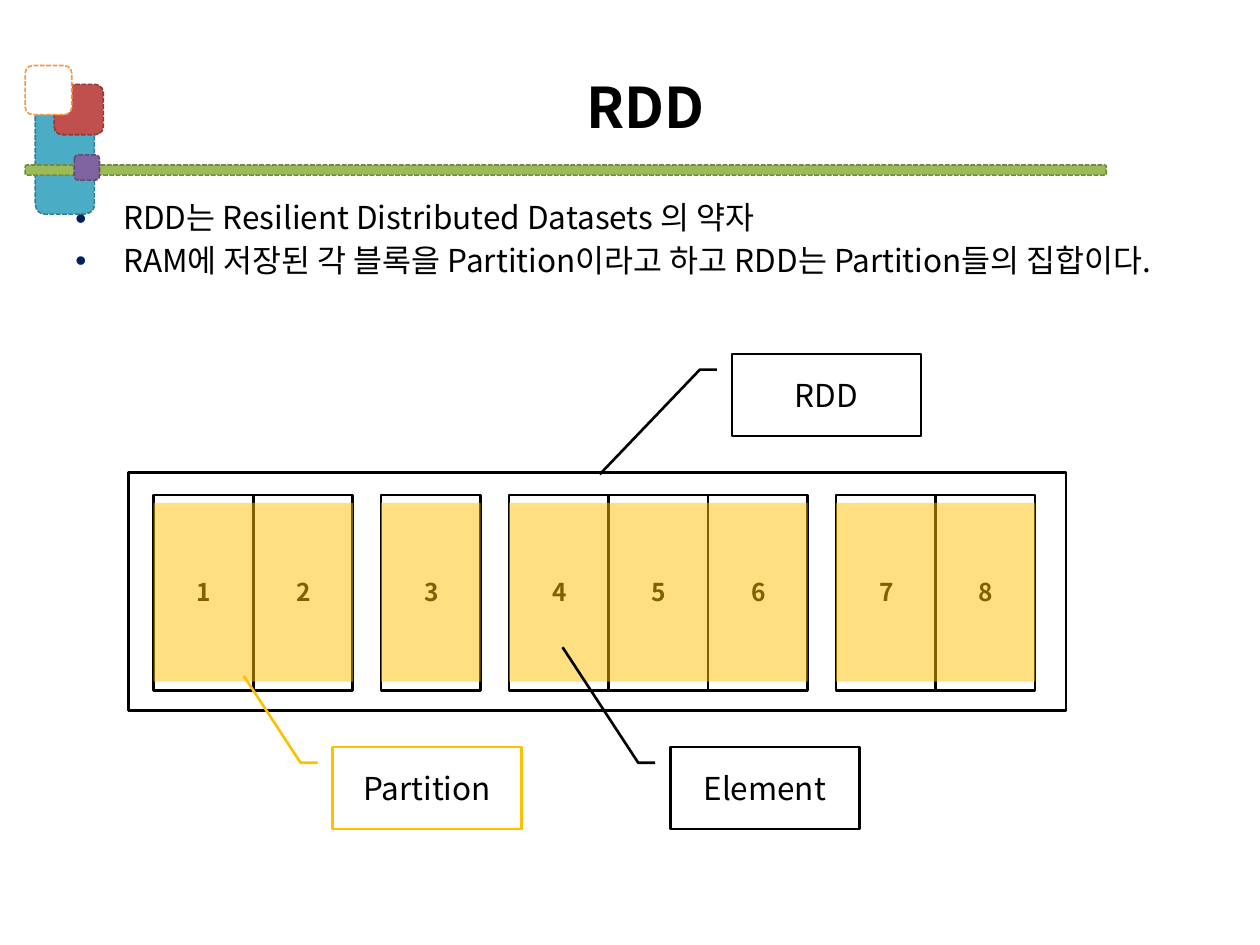
from dataclasses import dataclass
from typing import Optional

from lxml.etree import SubElement
from pptx import Presentation
from pptx.dml.color import RGBColor
from pptx.enum.dml import MSO_LINE
from pptx.enum.shapes import MSO_SHAPE as SHAPE
from pptx.enum.text import MSO_ANCHOR as ANCHOR, MSO_AUTO_SIZE, PP_ALIGN as ALIGN
from pptx.oxml.ns import qn
from pptx.util import Inches, Pt

FONT = "Noto Sans CJK KR"
BLACK, GOLD = "000000", "FFC000"
CELL_W, GAP = 0.79, 0.225
LEFT, TOP = 1.22, 3.93


@dataclass
class Box:
    x: float
    y: float
    w: float
    h: float

    def emu(self) -> list:
        return [Inches(v) for v in (self.x, self.y, self.w, self.h)]


@dataclass
class Ornament:
    box: Box
    fill: str
    line: str


@dataclass
class Callout:
    text: str
    box: Box
    tip: tuple
    color: str


ORNAMENTS = [
    Ornament(Box(0.28, 0.7, 0.47, 1), "4BACC6", "377F92"),
    Ornament(Box(0.2, 1.31, 8.58, 0.08), "9BBB59", "738A42"),
    Ornament(Box(0.43, 0.67, 0.39, 0.4), "C0504D", "8E3B39"),
    Ornament(Box(0.2, 0.52, 0.37, 0.39), "FFFFFF", "F79646"),
    Ornament(Box(0.59, 1.23, 0.2, 0.2), "8064A2", "5F4A78"),
]
BULLETS = [
    "RDD는 Resilient Distributed Datasets 의 약자",
    "RAM에 저장된 각 블록을 Partition이라고 하고 RDD는 Partition들의 집합이다.",
]
PARTITIONS = [["1", "2"], ["3"], ["4", "5", "6"], ["7", "8"]]
# Tips are (vertical, horizontal) fractions of the callout box
RDD_CALLOUT = Callout("RDD", Box(5.81, 2.81, 1.5, 0.65), (1.47, -0.7), BLACK)
PARTITION_CALLOUT = Callout("Partition", Box(2.64, 5.93, 1.5, 0.65), (-0.87, -0.47), GOLD)
ELEMENT_CALLOUT = Callout("Element", Box(5.32, 5.93, 1.5, 0.65), (-1.22, -0.57), BLACK)


def rgb(color: str) -> RGBColor:
    return RGBColor.from_string(color)


def add_run(p, text: str, size: float, bold: bool = False) -> None:
    r = p.add_run()
    r.text = text
    for name, value in {"name": FONT, "size": Pt(size), "bold": bold}.items():
        setattr(r.font, name, value)
    r.font.color.rgb = rgb(BLACK)
    SubElement(r._r.get_or_add_rPr(), qn("a:ea")).set("typeface", FONT)


def centre_text(sp, text: str, size: float, bold: bool = False) -> None:
    tf = sp.text_frame
    settings = {"word_wrap": True, "auto_size": MSO_AUTO_SIZE.NONE,
                "vertical_anchor": ANCHOR.MIDDLE}
    for name, value in settings.items():
        setattr(tf, name, value)
    p = tf.paragraphs[0]
    p.alignment = ALIGN.CENTER
    add_run(p, text, size, bold)


def add_box(slide, kind, box: Box, fill: Optional[str] = None,
            line: Optional[str] = None, width: float = 1.5):
    sp = slide.shapes.add_shape(kind, *box.emu())
    sp.shadow.inherit = False
    if fill:
        sp.fill.solid()
        sp.fill.fore_color.rgb = rgb(fill)
    else:
        sp.fill.background()
    if line:
        sp.line.color.rgb = rgb(line)
        sp.line.width = Pt(width)
    else:
        sp.line.fill.background()
    return sp


def add_bullets(slide, box: Box) -> None:
    tf = slide.shapes.add_textbox(*box.emu()).text_frame
    tf.word_wrap = True
    for i, text in enumerate(BULLETS):
        p = tf.add_paragraph() if i else tf.paragraphs[0]
        p.line_spacing = 0.94
        p.space_before = Pt(4)
        pPr = p._p.get_or_add_pPr()
        pPr.set("marL", str(Inches(0.38)))
        pPr.set("indent", str(-Inches(0.38)))
        SubElement(SubElement(pPr, qn("a:buClr")), qn("a:srgbClr")).set("val", "002060")
        SubElement(pPr, qn("a:buFont")).set("typeface", "Arial")
        SubElement(pPr, qn("a:buChar")).set("char", "•")
        add_run(p, text, 18)


def add_callout(slide, callout: Callout) -> None:
    sp = add_box(slide, SHAPE.LINE_CALLOUT_2, callout.box, line=callout.color)
    for i, value in enumerate((0.19, -0.08, 0.19, -0.17, *callout.tip)):
        sp.adjustments[i] = value
    centre_text(sp, callout.text, 18)


def add_overlay(slide, box: Box) -> None:
    sp = add_box(slide, SHAPE.RECTANGLE, box, fill=GOLD)
    color = sp._element.spPr.find(qn("a:solidFill")).find(qn("a:srgbClr"))
    SubElement(color, qn("a:alpha")).set("val", "50000")


def main() -> None:
    prs = Presentation()
    prs.slide_width, prs.slide_height = Inches(10), Inches(7.5)
    slide = prs.slides.add_slide(prs.slide_layouts[5])

    # Corner ornament and rule
    for item in ORNAMENTS:
        sp = add_box(slide, SHAPE.ROUNDED_RECTANGLE, item.box, item.fill, item.line, 0.9)
        sp.line.dash_style = MSO_LINE.SQUARE_DOT

    # Title and bullets
    title = slide.shapes.title
    title.left, title.top, title.width, title.height = Box(0.75, 0.3, 8.75, 1.09).emu()
    centre_text(title, "RDD", 32, True)
    add_bullets(slide, Box(0.5, 1.55, 9, 5.15))

    # RDD frame, with its elements grouped into partitions
    add_box(slide, SHAPE.RECTANGLE, Box(1.02, 3.75, 7.44, 1.89), line=BLACK)
    overlays = []
    x = LEFT
    for partition in PARTITIONS:
        width = CELL_W * len(partition)
        overlays.append(Box(x, TOP + 0.06, width, 1.42))
        for i, number in enumerate(partition):
            cell_x = x + i * CELL_W
            add_box(slide, SHAPE.RECTANGLE, Box(cell_x, TOP, CELL_W, 1.55), line=BLACK)
            label = slide.shapes.add_textbox(*Box(cell_x + 0.1, 4.53, 0.6, 0.34).emu())
            centre_text(label, number, 14, True)
        x += width + GAP

    # Callouts and partition highlights
    add_callout(slide, RDD_CALLOUT)
    add_callout(slide, PARTITION_CALLOUT)
    for box in overlays:
        add_overlay(slide, box)
    add_callout(slide, ELEMENT_CALLOUT)

    prs.save("out.pptx")


if __name__ == "__main__":
    main()
